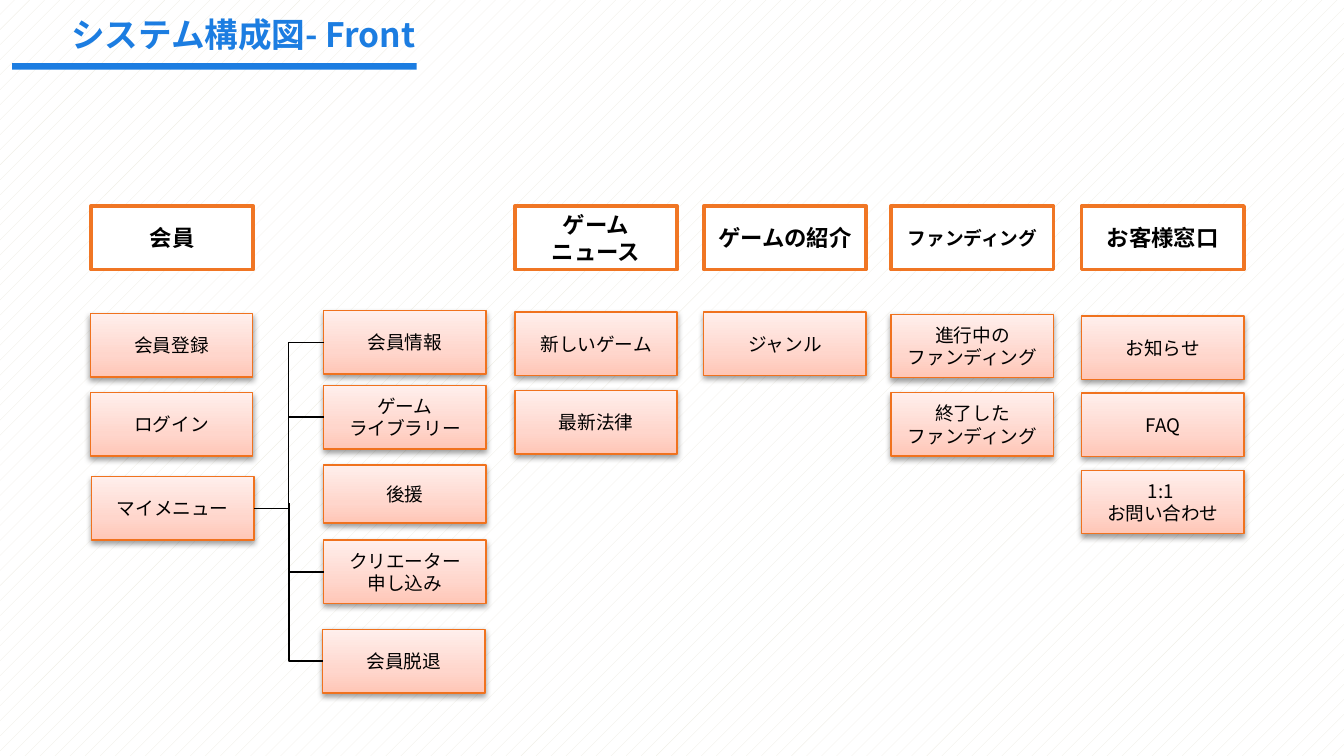
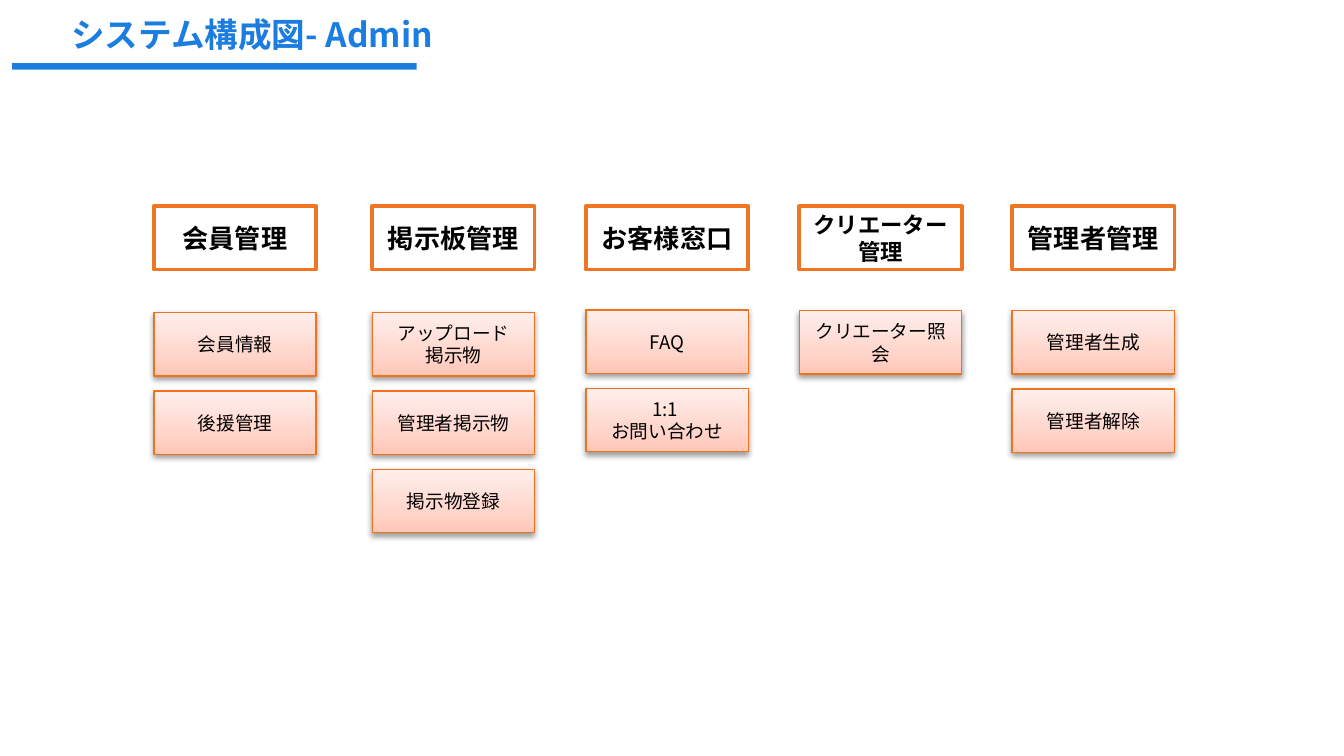
from lxml import etree
from pptx import Presentation
from pptx.dml.color import RGBColor
from pptx.enum.dml import MSO_PATTERN
from pptx.enum.shapes import MSO_CONNECTOR, MSO_SHAPE
from pptx.enum.text import MSO_ANCHOR, MSO_AUTO_SIZE, PP_ALIGN
from pptx.oxml.ns import qn
from pptx.util import Pt

RECTANGLE = MSO_SHAPE.RECTANGLE
STRAIGHT, ELBOW = MSO_CONNECTOR.STRAIGHT, MSO_CONNECTOR.ELBOW
LEFT, CENTER = PP_ALIGN.LEFT, PP_ALIGN.CENTER
TOP, MIDDLE = MSO_ANCHOR.TOP, MSO_ANCHOR.MIDDLE
GROW = MSO_AUTO_SIZE.SHAPE_TO_FIT_TEXT
DOTS = MSO_PATTERN.PERCENT_10
LEFT_SIDE, RIGHT_SIDE = 1, 3

FONT = "Noto Sans CJK JP"
BLUE = RGBColor(0x1C, 0x7D, 0xE1)
HEADING_ORANGE = RGBColor(0xF0, 0x76, 0x24)
ITEM_ORANGE = RGBColor(0xF0, 0x72, 0x1E)
BEIGE = RGBColor(0xEE, 0xEC, 0xE1)
WHITE = RGBColor(0xFF, 0xFF, 0xFF)
BLACK = RGBColor(0x00, 0x00, 0x00)
ITEM_GRADIENT = (
    (0, RGBColor(0xFF, 0xC6, 0xB6)),
    (35, RGBColor(0xFF, 0xD6, 0xCC)),
    (100, RGBColor(0xFF, 0xEF, 0xEC)),
)

BOX_WIDTH, BOX_HEIGHT = 87, 34
HEADING_TOP = 110.4
ITEM_STEP = 42


def add_color(parent, color):
    return etree.SubElement(parent, qn("a:srgbClr"), val=str(color))


class SiteMap:
    """Holds the deck, its style and the slide being drawn."""

    def __init__(self):
        self.deck = Presentation()
        self.deck.slide_width, self.deck.slide_height = Pt(720), Pt(405)
        self.page = None

    def add_page(self, title, title_width, dotted=False):
        self.page = self.deck.slides.add_slide(self.deck.slide_layouts[5])
        background = self.page.background.fill
        if dotted:
            background.patterned()
            background.pattern = DOTS
            background.fore_color.rgb = BEIGE
            background.back_color.rgb = WHITE
        else:
            background.solid()
            background.fore_color.rgb = WHITE

        bar = self.rectangle(6.5, 33.8, 216.7, 3.6, BLUE)
        bar.line.fill.background()

        holder = self.page.shapes.title
        holder.left, holder.top = Pt(31), Pt(3.6)
        holder.width, holder.height = Pt(title_width), Pt(28.8)
        self.add_text(holder, [title], 18, BLUE, True, LEFT, TOP)
        holder.text_frame.auto_size = GROW

    def add_text(self, box, lines, size, color=BLACK, bold=False,
                 align=CENTER, anchor=MIDDLE):
        frame = box.text_frame
        frame.word_wrap = True
        frame.vertical_anchor = anchor
        for number, line in enumerate(lines):
            para = frame.add_paragraph() if number else frame.paragraphs[0]
            para.alignment = align
            span = para.add_run()
            span.text = line
            span.font.size = Pt(size)
            span.font.bold = bold
            span.font.color.rgb = color
            span.font.name = FONT
            latin = span.font._element.find(qn("a:latin"))
            latin.addnext(latin.makeelement(qn("a:ea"), typeface=FONT))

    def rectangle(self, left, top, width, height, color):
        box = self.page.shapes.add_shape(
            RECTANGLE, Pt(left), Pt(top), Pt(width), Pt(height))
        box.fill.solid()
        box.fill.fore_color.rgb = color
        box.shadow.inherit = False
        return box

    def heading(self, left, lines, size):
        box = self.rectangle(left, HEADING_TOP, BOX_WIDTH, BOX_HEIGHT, WHITE)
        box.line.color.rgb = HEADING_ORANGE
        box.line.width = Pt(2)
        self.add_text(box, lines, size, bold=True)

    def item(self, left, top, *lines, height=BOX_HEIGHT):
        box = self.rectangle(left, top, BOX_WIDTH, height, WHITE)
        box.line.color.rgb = ITEM_ORANGE
        box.line.width = Pt(0.75)
        self.shade(box)
        self.add_text(box, lines, 10)
        return box

    def shade(self, box):
        """Give the box its upward gradient and soft drop shadow."""
        box.fill.gradient()
        box.fill.gradient_angle = 90
        properties = box._element.spPr
        stops = properties.find(qn("a:gradFill")).find(qn("a:gsLst"))
        for stop in list(stops):
            stops.remove(stop)
        for percent, color in ITEM_GRADIENT:
            add_color(etree.SubElement(stops, qn("a:gs"), pos=str(percent * 1000)), color)
        shadow = etree.SubElement(
            properties.find(qn("a:effectLst")), qn("a:outerShdw"),
            blurRad=str(Pt(3.1)), dist=str(Pt(1.6)), dir="5400000", rotWithShape="0")
        etree.SubElement(add_color(shadow, BLACK), qn("a:alpha"), val="38000")

    def column(self, left, heading, size, top, items, step=ITEM_STEP):
        self.heading(left, heading, size)
        for number, lines in enumerate(items):
            self.item(left, top + number * step, *lines)

    def connect(self, kind, box, end_x, end_y):
        """Draw a line from the middle of the box's left side to a point."""
        line = self.page.shapes.add_connector(
            kind, box.left, box.top + box.height // 2, Pt(end_x), Pt(end_y))
        line.begin_connect(box, LEFT_SIDE)
        line.line.color.rgb = BLACK
        line.line.width = Pt(0.75)
        etree.SubElement(line._element.spPr, qn("a:effectLst"))
        return line


def bend_at_end(line):
    """Move the turn of an elbow connector to its far end."""
    geometry = line._element.spPr.find(qn("a:prstGeom"))
    guides = geometry.find(qn("a:avLst"))
    if guides is None:
        guides = etree.SubElement(geometry, qn("a:avLst"))
    etree.SubElement(guides, qn("a:gd"), name="adj1", fmla="val 100000")


def build_front(site):
    site.add_page("システム構成図- Front", 207.4, dotted=True)

    site.heading(48.7, ["会員"], 12)
    site.item(48.4, 168, "会員登録")
    site.item(48.4, 210.4, "ログイン")
    my_menu = site.item(49, 255.4, "マイメニュー")

    member_left, trunk = 173.4, 154.8
    information = site.item(member_left, 166.4, "会員情報")
    library = site.item(member_left, 206.5, "ゲーム", "ライブラリー")
    site.item(member_left, 249.2, "後援", height=31)
    application = site.item(member_left, 289.4, "クリエーター", "申し込み")
    withdrawal = site.item(172.8, 337.2, "会員脱退")

    link = site.connect(ELBOW, information, 136, 272.4)
    link.end_connect(my_menu, RIGHT_SIDE)
    for box in (library, application):
        site.connect(STRAIGHT, box, trunk, (box.top + box.height // 2) / Pt(1))
    bend_at_end(site.connect(ELBOW, withdrawal, trunk, 269.3))

    site.column(275.8, ["ゲーム", "ニュース"], 12, 167.2,
                [["新しいゲーム"], ["最新法律"]])
    site.column(377, ["ゲームの紹介"], 12, 167.2, [["ジャンル"]])
    site.column(477.4, ["ファンディング"], 10, 168.4,
                [["進行中の", "ファンディング"], ["終了した", "ファンディング"]])
    site.column(579.4, ["お客様窓口"], 12, 169.2,
                [["お知らせ"], ["FAQ"], ["1:1 ", "お問い合わせ"]], step=41.4)


def build_admin(site):
    site.add_page("システム構成図- Admin", 216)
    site.column(82.4, ["会員管理"], 14, 167.4, [["会員情報"], ["後援管理"]])
    site.column(199.4, ["掲示板管理"], 14, 167.4,
                [["アップロード", "掲示物"], ["管理者掲示物"], ["掲示物登録"]])
    site.column(313.9, ["お客様窓口"], 14, 166,
                [["FAQ"], ["1:1 ", "お問い合わせ"]])
    site.column(428.2, ["クリエーター管理"], 12, 166.4, [["クリエーター照会"]])
    site.column(542.2, ["管理者管理"], 14, 166.4, [["管理者生成"], ["管理者解除"]])


def main():
    site = SiteMap()
    build_front(site)
    build_admin(site)
    site.deck.save("out.pptx")


if __name__ == "__main__":
    main()
